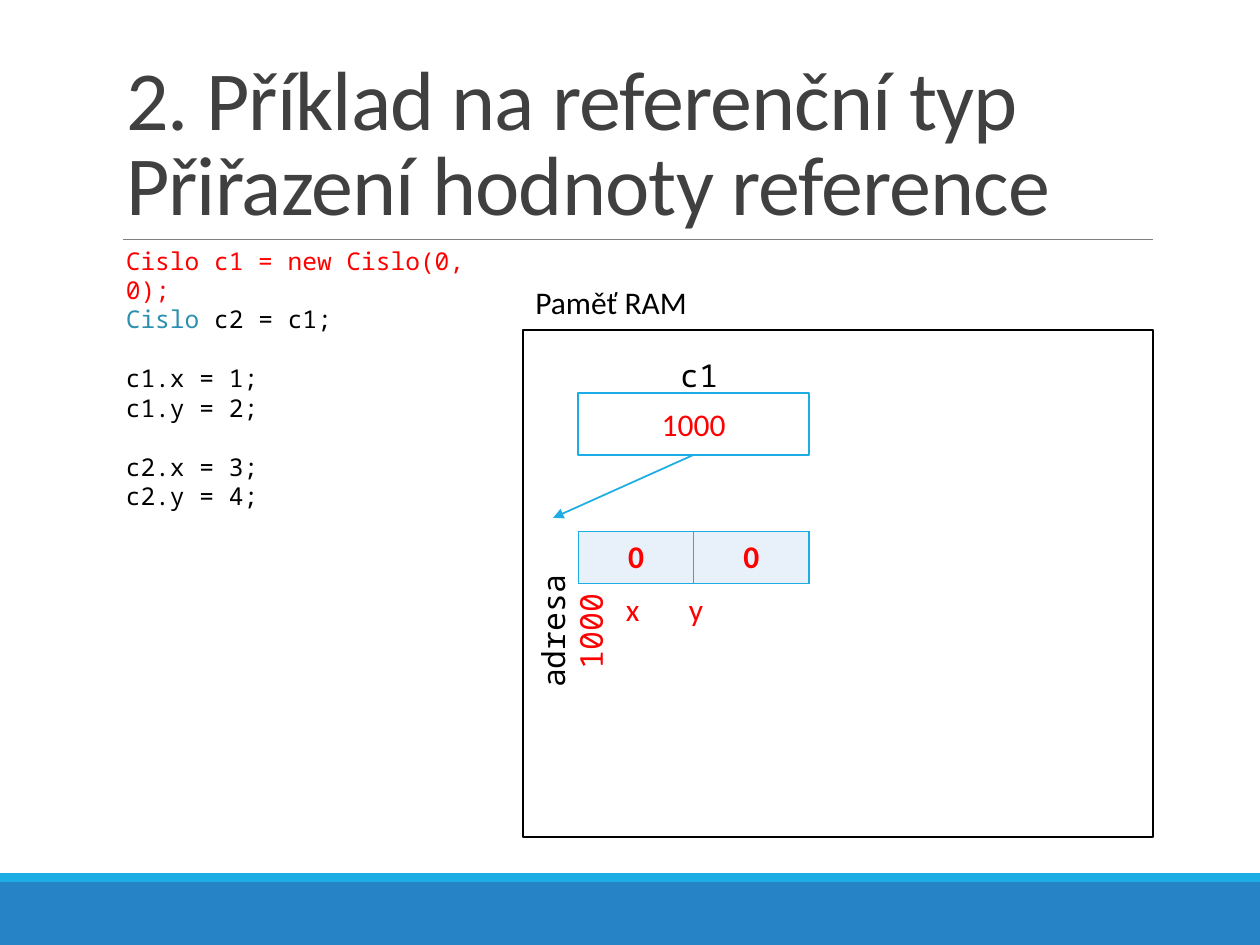
from dataclasses import dataclass

from pptx import Presentation
from pptx import util as u
from pptx.dml.color import RGBColor
from pptx.enum import shapes, text
from pptx.oxml import xmlchemy as xc
from lxml import etree

A = "http://schemas.openxmlformats.org/drawingml/2006/main"


@dataclass(frozen=True)
class Theme:
    sans: str = "Calibri"
    mono: str = "Noto Sans Mono"
    title_size: float = 48
    label_size: float = 18
    code_size: float = 14
    code_gap: float = 16.8
    black: str = "000000"
    white: str = "FFFFFF"
    heading: str = "404040"
    rule: str = "808080"
    red: str = "FF0000"
    type_name: str = "2B91AF"
    accent: str = "1CADE4"
    footer: str = "2683C6"
    cell: str = "E8F1FA"


THEME = Theme()


def rgb(value):
    return RGBColor.from_string(value)


def inches(*values):
    return [u.Inches(value) for value in values]


def add_span(para, words, color, font=THEME.sans, size=THEME.label_size, bold=None):
    span = para.add_run()
    span.text = words
    span.font.name = font
    span.font.size = u.Pt(size)
    span.font.bold = bold
    span.font.color.rgb = rgb(color)
    return span


def add_rect(page, box, fill, line=None):
    rect = page.shapes.add_shape(shapes.MSO_SHAPE.RECTANGLE, *inches(*box))
    rect.shadow.inherit = False
    rect.fill.solid()
    rect.fill.fore_color.rgb = rgb(fill)
    if line:
        rect.line.color.rgb = rgb(line)
        rect.line.width = u.Pt(1.25)
    else:
        rect.line.fill.background()
    return rect


def add_line(page, start, end, color, width):
    line = page.shapes.add_connector(
        shapes.MSO_CONNECTOR.STRAIGHT, *inches(*start, *end))
    line.line.color.rgb = rgb(color)
    line.line.width = u.Pt(width)
    etree.SubElement(line._element.spPr, f"{{{A}}}effectLst")
    return line


def add_text(page, box):
    label = page.shapes.add_textbox(*inches(*box))
    label.text_frame.word_wrap = True
    label.text_frame.auto_size = text.MSO_AUTO_SIZE.SHAPE_TO_FIT_TEXT
    return label


def border_cell(cell, color):
    props = cell._tc.get_or_add_tcPr()
    for index, side in enumerate(("lnL", "lnR", "lnT", "lnB")):
        line = etree.Element(f"{{{A}}}{side}", w=str(u.Pt(1)))
        fill = etree.SubElement(line, f"{{{A}}}solidFill")
        etree.SubElement(fill, f"{{{A}}}srgbClr", val=color)
        props.insert(index, line)


def build_frame(page, left, right):
    add_rect(page, (0, 7, 10, 0.5), THEME.footer)
    add_rect(page, (0, 6.93, 10, 0.07), THEME.accent)
    add_line(page, (left, 1.9), (right, 1.9), THEME.rule, 0.5)


def build_title(page, box, lines):
    title = page.shapes.title
    title.left, title.top, title.width, title.height = inches(*box)
    frame = title.text_frame
    frame.word_wrap = True
    frame.auto_size = text.MSO_AUTO_SIZE.NONE
    frame.vertical_anchor = text.MSO_ANCHOR.BOTTOM
    para = frame.paragraphs[0]
    para.alignment = text.PP_ALIGN.LEFT
    para.line_spacing = 0.85
    for index, words in enumerate(lines):
        if index:
            para.add_line_break()
        span = add_span(para, words, THEME.heading, size=THEME.title_size)
        span.font._element.set("spc", "-50")


def build_code(page, box, groups):
    frame = add_text(page, box).text_frame
    para = None
    for group in groups:
        for index, line in enumerate(group):
            starts_group = para is not None and index == 0
            para = frame.paragraphs[0] if para is None else frame.add_paragraph()
            if starts_group:
                para.space_before = u.Pt(THEME.code_gap)
            for words, color in line:
                add_span(para, words, color, THEME.mono, THEME.code_size)


def build_object(page, left, top, width, fields):
    height = 0.41
    column = width / len(fields)
    table = page.shapes.add_table(
        1, len(fields), *inches(left, top, width, height)).table
    for index, value in enumerate(fields.values()):
        table.columns[index].width = u.Inches(column)
        cell = table.cell(0, index)
        cell.fill.solid()
        cell.fill.fore_color.rgb = rgb(THEME.cell)
        border_cell(cell, THEME.accent)
        para = cell.text_frame.paragraphs[0]
        para.alignment = text.PP_ALIGN.CENTER
        add_span(para, value, THEME.red, bold=True)

    names = add_text(page, (left, top + height, width, 0.4))
    para = names.text_frame.paragraphs[0]
    props = para._p.get_or_add_pPr()
    props.set("marL", str(u.Inches(0.28)))
    props.set("indent", "0")
    tabs = etree.SubElement(props, f"{{{A}}}tabLst")
    etree.SubElement(tabs, f"{{{A}}}tab", pos=str(u.Inches(1.18)), algn="l")
    add_span(para, "\t".join(fields), THEME.red)


def build_memory(page, left, top, width, height):
    add_rect(page, (left, top, width, height), THEME.white, THEME.black)
    caption = add_text(page, (left, top - 0.42, 1.86, 0.4))
    add_span(caption.text_frame.paragraphs[0], "Paměť RAM", THEME.black)

    inner, cell_width = left + 0.44, 1.83
    reference = add_rect(
        page, (inner, top + 0.5, cell_width, 0.49), THEME.white, THEME.accent)
    reference.text_frame.vertical_anchor = text.MSO_ANCHOR.MIDDLE
    para = reference.text_frame.paragraphs[0]
    para.alignment = text.PP_ALIGN.CENTER
    add_span(para, "1000", THEME.red)

    name = add_text(page, (left + 1.15, top + 0.16, 0.54, 0.4))
    add_span(name.text_frame.paragraphs[0], "c1", THEME.black, THEME.mono)

    build_object(page, inner, top + 1.6, cell_width, {"x": "0", "y": "0"})

    arrow = add_line(page, (inner + cell_width / 2, top + 0.99),
                     (left + 0.24, top + 1.49), THEME.accent, 1)
    arrow.begin_connect(reference, 2)
    etree.SubElement(arrow.line._get_or_add_ln(), f"{{{A}}}tailEnd", type="triangle")

    address = add_text(page, (left - 0.67, top + 2.19, 1.81, 0.4))
    address.rotation = 270
    para = address.text_frame.paragraphs[0]
    para.alignment = text.PP_ALIGN.CENTER
    add_span(para, "adresa ", THEME.black, THEME.mono)
    add_span(para, "1000", THEME.red, THEME.mono)


def main():
    deck = Presentation()
    deck.slide_width, deck.slide_height = inches(10, 7.5)
    page = deck.slides.add_slide(deck.slide_layouts[5])
    build_frame(page, 0.98, 9.15)
    build_title(page, (0.9, 0.31, 8.25, 1.59),
                ["2. Příklad na referenční typ", "Přiřazení hodnoty reference"])
    build_memory(page, 4.15, 2.62, 5, 4.02)
    build_code(page, (0.9, 1.9, 3.12, 1.99), [
        [[("Cislo c1 = new Cislo(0, 0);", THEME.red)],
         [("Cislo", THEME.type_name), (" c2 = c1;", THEME.black)]],
        [[("c1.x = 1;", THEME.black)], [("c1.y = 2;", THEME.black)]],
        [[("c2.x = 3;", THEME.black)], [("c2.y = 4;", THEME.black)]],
    ])
    deck.save("out.pptx")


if __name__ == "__main__":
    main()
